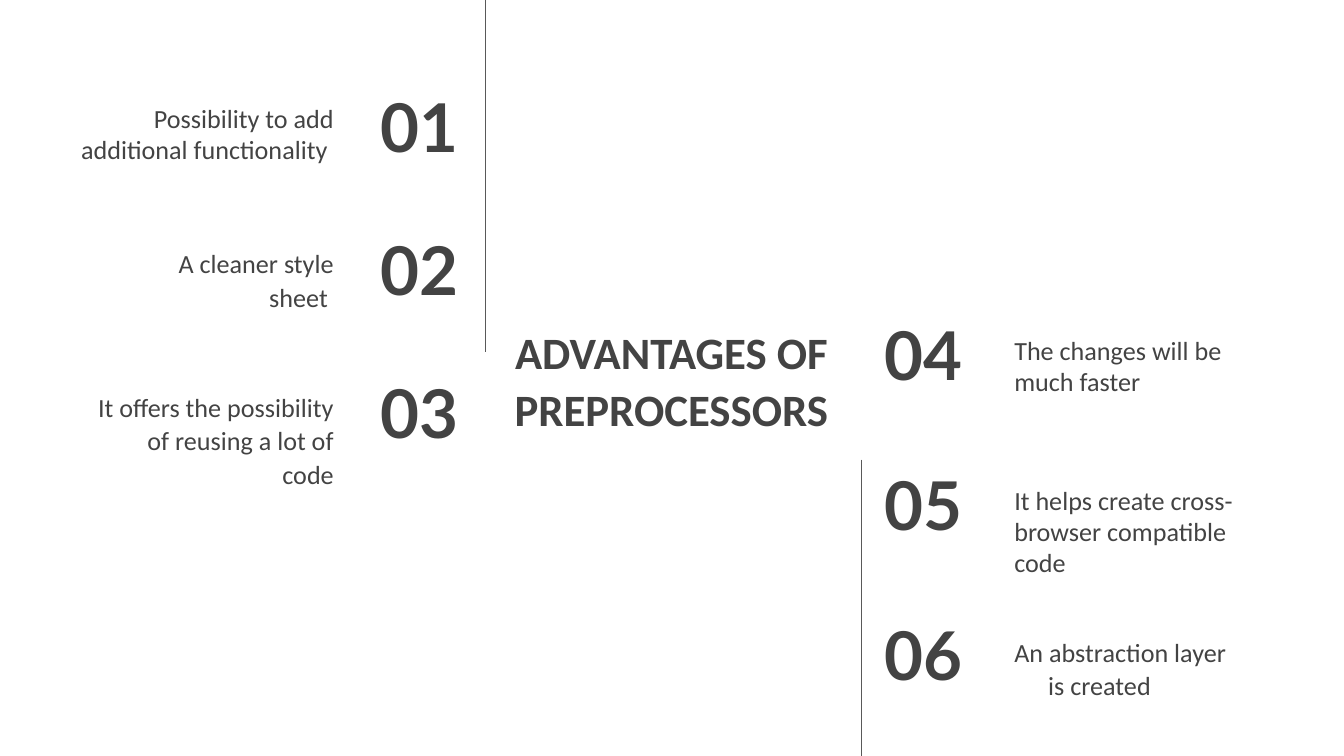
from dataclasses import dataclass

from lxml import etree
from pptx import Presentation
from pptx import util as u
from pptx.dml.color import RGBColor
from pptx.enum import shapes, text
from pptx.oxml.ns import qn

INK = RGBColor(0x43, 0x43, 0x43)
RULE = RGBColor(0x59, 0x59, 0x59)
PAGE_WIDTH, PAGE_HEIGHT = 25.4, 14.29
ITEM_HEIGHT = 1.6

NUMBER = {"name": "Lato", "size": u.Pt(36), "bold": True}
TITLE = {"name": "Calibri", "size": u.Pt(24), "bold": True}
BODY = {"name": "Calibri", "size": u.Pt(14), "bold": False}
SPACED = {"line_spacing": 1.07, "space_after": u.Pt(8)}


@dataclass(frozen=True)
class Advantage:
    wording: str
    width: float
    hanging: bool = False


@dataclass(frozen=True)
class Column:
    """One side of the page; lengths in cm, body_edge is its aligned side."""
    first_number: int
    top: float
    step: float
    number_left: float
    number_width: float
    body_edge: float
    body_drop: float
    align: text.PP_ALIGN
    advantages: tuple[Advantage, ...]


COLUMNS = (
    Column(1, 1.57, 2.71, 5.84, 3.07, 6.56, 0.11, text.PP_ALIGN.RIGHT, (
        Advantage("Possibility to add additional functionality ", 5.31),
        Advantage("A cleaner style sheet ", 4.65, True),
        Advantage("It offers the possibility of reusing a lot of code", 5.31, True),
    )),
    Column(4, 5.89, 2.83, 16.46, 2.97, 18.92, 0.18, text.PP_ALIGN.LEFT, (
        Advantage("The changes will be much faster", 4.65),
        Advantage("It helps create cross-browser compatible code", 5.13),
        Advantage("An abstraction layer is created", 4.65, True),
    )),
)


def apply(target, values: dict) -> None:
    for name, value in values.items():
        setattr(target, name, value)


def add_text(page, wording: str, bounds: tuple[float, ...], font: dict,
             align, anchor, spacing: dict, hanging: bool = False) -> None:
    box = page.shapes.add_textbox(*map(u.Cm, bounds))
    margins = {f"margin_{side}": u.Cm(0.25)
               for side in ("left", "top", "right", "bottom")}
    apply(box.text_frame, {"word_wrap": True, "vertical_anchor": anchor, **margins})
    para = box.text_frame.paragraphs[0]
    apply(para, {"alignment": align, **spacing})
    if hanging:
        properties = para._p.get_or_add_pPr()
        properties.set("marL", str(u.Cm(0.64)))
        properties.set("indent", str(u.Cm(-0.84)))
    span = para.add_run()
    span.text = wording
    apply(span.font, font)
    span.font.color.rgb = INK


def add_column(page, column: Column) -> None:
    for index, advantage in enumerate(column.advantages):
        top = column.top + index * column.step
        add_text(page, f"{column.first_number + index:02d}",
                 (column.number_left, top, column.number_width, ITEM_HEIGHT),
                 NUMBER, column.align, text.MSO_ANCHOR.MIDDLE, {})
        left = column.body_edge
        if column.align == text.PP_ALIGN.RIGHT:
            left -= advantage.width
        add_text(page, advantage.wording,
                 (left, top + column.body_drop, advantage.width, ITEM_HEIGHT),
                 BODY, column.align, text.MSO_ANCHOR.TOP,
                 SPACED if advantage.hanging else {}, advantage.hanging)


def add_vertical_rule(page, x: float, top: float, bottom: float) -> None:
    rule = page.shapes.add_connector(
        shapes.MSO_CONNECTOR.STRAIGHT, *map(u.Cm, (x, top, x, bottom)))
    rule.line.color.rgb = RULE
    rule.line.width = u.Pt(0.75)
    etree.SubElement(rule._element.spPr, qn("a:effectLst"))


def main() -> None:
    deck = Presentation()
    deck.slide_width, deck.slide_height = u.Cm(PAGE_WIDTH), u.Cm(PAGE_HEIGHT)
    page = deck.slides.add_slide(deck.slide_layouts[6])
    add_text(page, "ADVANTAGES OF PREPROCESSORS", (9.4, 5.84, 6.58, 2.62),
             TITLE, text.PP_ALIGN.CENTER, text.MSO_ANCHOR.MIDDLE, SPACED)
    for column in COLUMNS:
        add_column(page, column)
    add_vertical_rule(page, 9.17, 0, 6.65)
    add_vertical_rule(page, 16.28, 8.69, PAGE_HEIGHT)
    deck.save("out.pptx")


if __name__ == "__main__":
    main()
